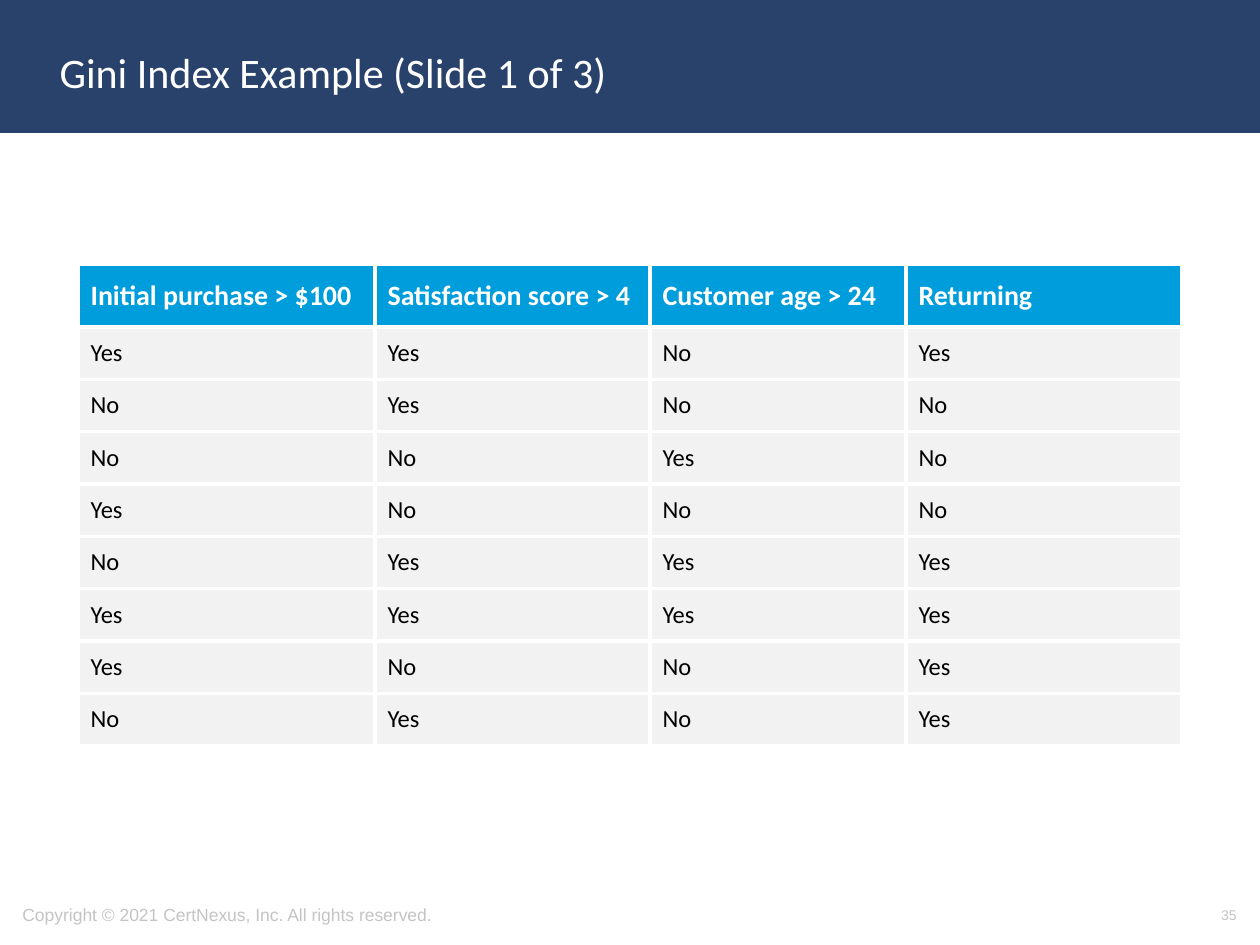
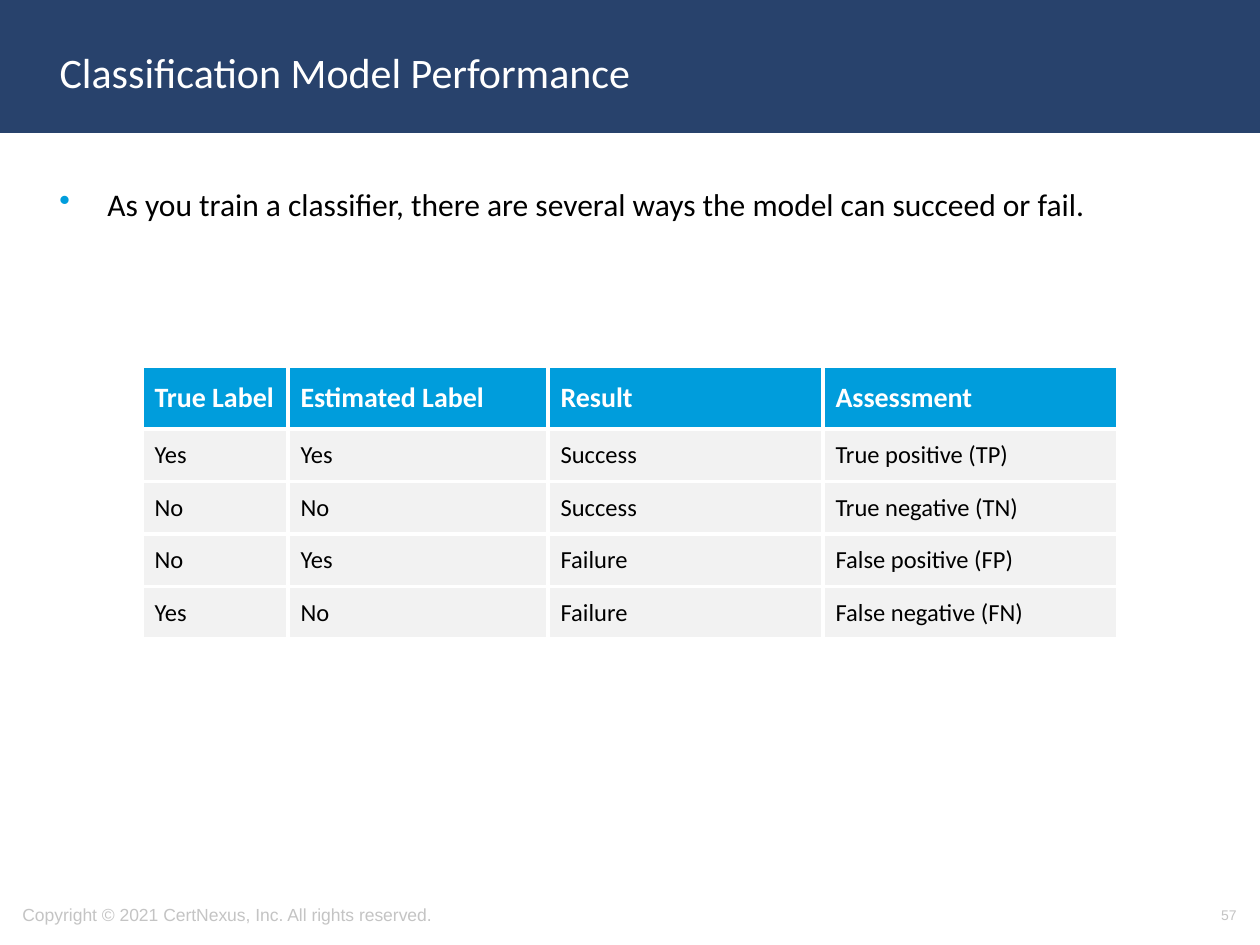
from dataclasses import dataclass

from lxml import etree
from pptx import Presentation
from pptx.dml.color import RGBColor
from pptx.enum.shapes import MSO_SHAPE
from pptx.enum.text import MSO_ANCHOR, MSO_AUTO_SIZE, PP_ALIGN
from pptx.oxml.ns import qn
from pptx.util import Emu, Pt

RECTANGLE = MSO_SHAPE.RECTANGLE
MIDDLE, TOP = MSO_ANCHOR.MIDDLE, MSO_ANCHOR.TOP
LEFT, RIGHT = PP_ALIGN.LEFT, PP_ALIGN.RIGHT
NO_AUTOFIT = MSO_AUTO_SIZE.NONE


@dataclass(frozen=True)
class Theme:
    navy: str = "28426C"
    blue: str = "009DDC"
    cell: str = "F2F2F2"
    white: str = "FFFFFF"
    black: str = "000000"
    gray: str = "C4C4C4"
    body_font: str = "Calibri"
    footer_font: str = "Arial"
    title_size: int = 24
    bullet_size: int = 18
    header_size: int = 16
    cell_size: int = 14
    copyright_size: int = 10
    number_size: int = 8
    band_line: int = 2
    cell_line: float = 2.25


THEME = Theme()
COPYRIGHT = "Copyright © 2021 CertNexus, Inc. All rights reserved."
SLIDES = [
    {
        "title": "Gini Index Example (Slide 1 of 3)",
        "number": "35",
        "table_top": 264,
        "table_height": 482,
        "columns": [297, 275, 256, 276],
        "rows": [
            ("Initial purchase > $100", "Satisfaction score > 4", "Customer age > 24", "Returning"),
            ("Yes", "Yes", "No", "Yes"),
            ("No", "Yes", "No", "No"),
            ("No", "No", "Yes", "No"),
            ("Yes", "No", "No", "No"),
            ("No", "Yes", "Yes", "Yes"),
            ("Yes", "Yes", "Yes", "Yes"),
            ("Yes", "No", "No", "Yes"),
            ("No", "Yes", "No", "Yes"),
        ],
    },
    {
        "title": "Classification Model Performance",
        "number": "57",
        "bullet": "As you train a classifier, there are several ways the model can succeed or fail.",
        "table_top": 366,
        "table_height": 273,
        "columns": [146, 260, 275, 295],
        "rows": [
            ("True Label", "Estimated Label", "Result", "Assessment"),
            ("Yes", "Yes", "Success", "True positive (TP)"),
            ("No", "No", "Success", "True negative (TN)"),
            ("No", "Yes", "Failure", "False positive (FP)"),
            ("Yes", "No", "Failure", "False negative (FN)"),
        ],
    },
]

PX_PER_INCH = 126
SLIDE_SIZE = (1260, 945)
BAND = (0, 0, 1260, 131)
TITLE = (47, 14, 1086, 116)
BODY = (47, 179, 1166, 678)
COPYRIGHT_BOX = (10, 890, 664, 50)
NUMBER_BOX = (955, 890, 294, 50)
HEADER_HEIGHT = 63
BULLET_INDENT = 48


def px(length):
    return Emu(round(length * 914400 / PX_PER_INCH))


def rgb(color):
    return RGBColor.from_string(color)


def write(frame, text, font, size, color, align=LEFT, bold=False):
    frame.text = text
    paragraph = frame.paragraphs[0]
    paragraph.alignment = align
    paragraph.font.name = font
    paragraph.font.size = Pt(size)
    paragraph.font.bold = bold
    paragraph.font.color.rgb = rgb(color)


def add_text(slide, box, *style, anchor=MIDDLE, **options):
    frame = slide.shapes.add_textbox(*map(px, box)).text_frame
    frame.word_wrap = True
    frame.vertical_anchor = anchor
    write(frame, *style, **options)
    return frame.paragraphs[0]


def add_title(slide, text):
    title = slide.shapes.title
    title.left, title.top, title.width, title.height = map(px, TITLE)
    title.text_frame.auto_size = NO_AUTOFIT
    title.text_frame.vertical_anchor = MIDDLE
    write(title.text_frame, text, THEME.body_font, THEME.title_size, THEME.white)

    band = slide.shapes.add_shape(RECTANGLE, *map(px, BAND))
    band.shadow.inherit = False
    band.fill.solid()
    band.fill.fore_color.rgb = rgb(THEME.navy)
    band.line.color.rgb = rgb(THEME.navy)
    band.line.width = Pt(THEME.band_line)
    title.element.addprevious(band.element)


def add_footer(slide, number):
    add_text(slide, COPYRIGHT_BOX, COPYRIGHT, THEME.footer_font, THEME.copyright_size, THEME.gray)
    add_text(slide, NUMBER_BOX, number, THEME.footer_font, THEME.number_size, THEME.gray, align=RIGHT)


def add_bullet(slide, text):
    paragraph = add_text(slide, BODY, text, THEME.body_font, THEME.bullet_size, THEME.black, anchor=TOP)
    properties = paragraph._p.get_or_add_pPr()
    properties.set("marL", str(px(BULLET_INDENT)))
    properties.set("indent", str(-px(BULLET_INDENT)))
    mark = etree.Element(qn("a:buChar"), char="•")
    color = etree.Element(qn("a:buClr"))
    etree.SubElement(color, qn("a:srgbClr"), val=THEME.blue)
    properties.insert(0, mark)
    properties.insert(0, color)


def add_borders(cell):
    properties = cell._tc.get_or_add_tcPr()
    for side in ("lnL", "lnR", "lnT", "lnB"):
        line = etree.SubElement(properties, qn(f"a:{side}"), w=str(Pt(THEME.cell_line)))
        fill = etree.SubElement(line, qn("a:solidFill"))
        etree.SubElement(fill, qn("a:srgbClr"), val=THEME.white)


def add_grid(slide, content):
    rows, columns = content["rows"], content["columns"]
    width, height = sum(columns), content["table_height"]
    left = (SLIDE_SIZE[0] - width) / 2
    box = map(px, (left, content["table_top"], width, height))
    table = slide.shapes.add_table(len(rows), len(columns), *box).table
    table.horz_banding = False
    for column, column_width in zip(table.columns, columns):
        column.width = px(column_width)
    body_height = (height - HEADER_HEIGHT) / (len(rows) - 1)
    for r, texts in enumerate(rows):
        header = r == 0
        table.rows[r].height = px(HEADER_HEIGHT if header else body_height)
        size = THEME.header_size if header else THEME.cell_size
        color = THEME.white if header else THEME.black
        for c, text in enumerate(texts):
            cell = table.cell(r, c)
            add_borders(cell)
            cell.fill.solid()
            cell.fill.fore_color.rgb = rgb(THEME.blue if header else THEME.cell)
            cell.vertical_anchor = MIDDLE
            write(cell.text_frame, text, THEME.body_font, size, color, bold=header)


def main():
    deck = Presentation()
    deck.slide_width, deck.slide_height = map(px, SLIDE_SIZE)
    title_only = deck.slide_layouts[5]
    for content in SLIDES:
        slide = deck.slides.add_slide(title_only)
        add_title(slide, content["title"])
        add_footer(slide, content["number"])
        if "bullet" in content:
            add_bullet(slide, content["bullet"])
        add_grid(slide, content)
    deck.save("out.pptx")


if __name__ == "__main__":
    main()
